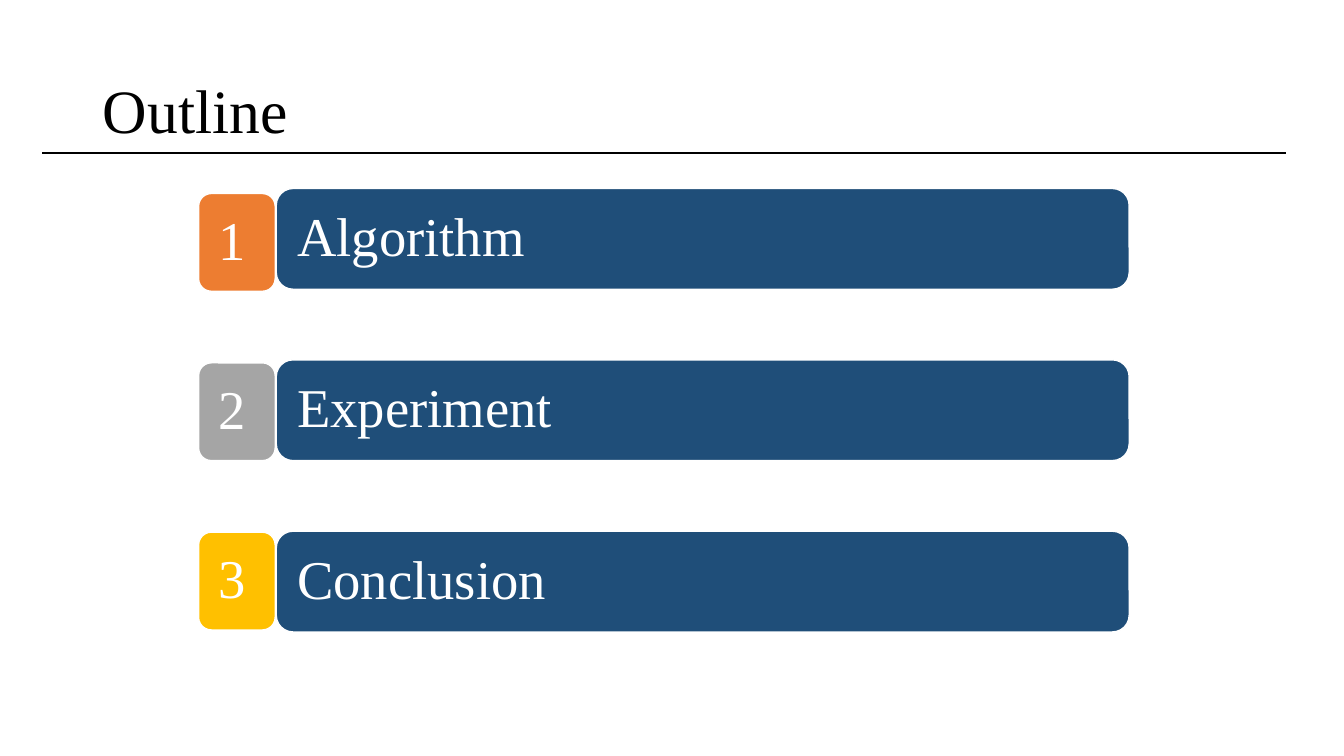
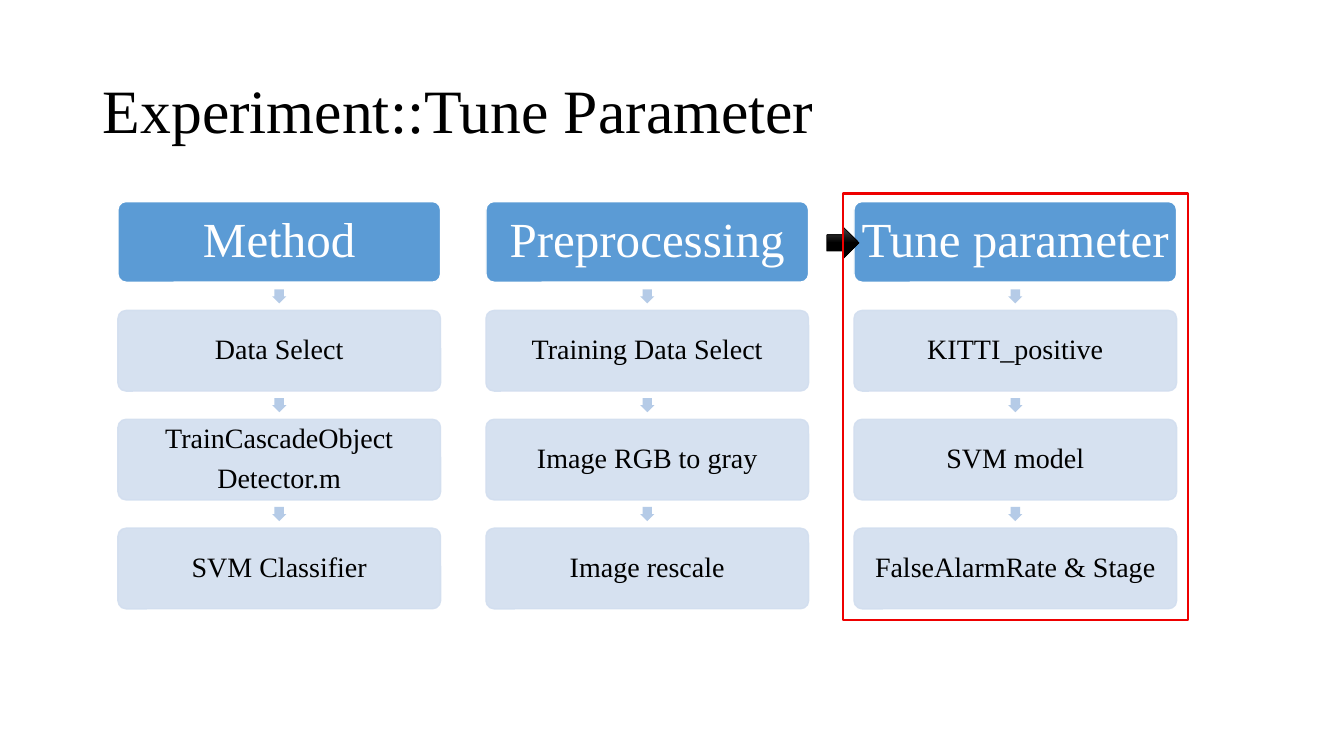
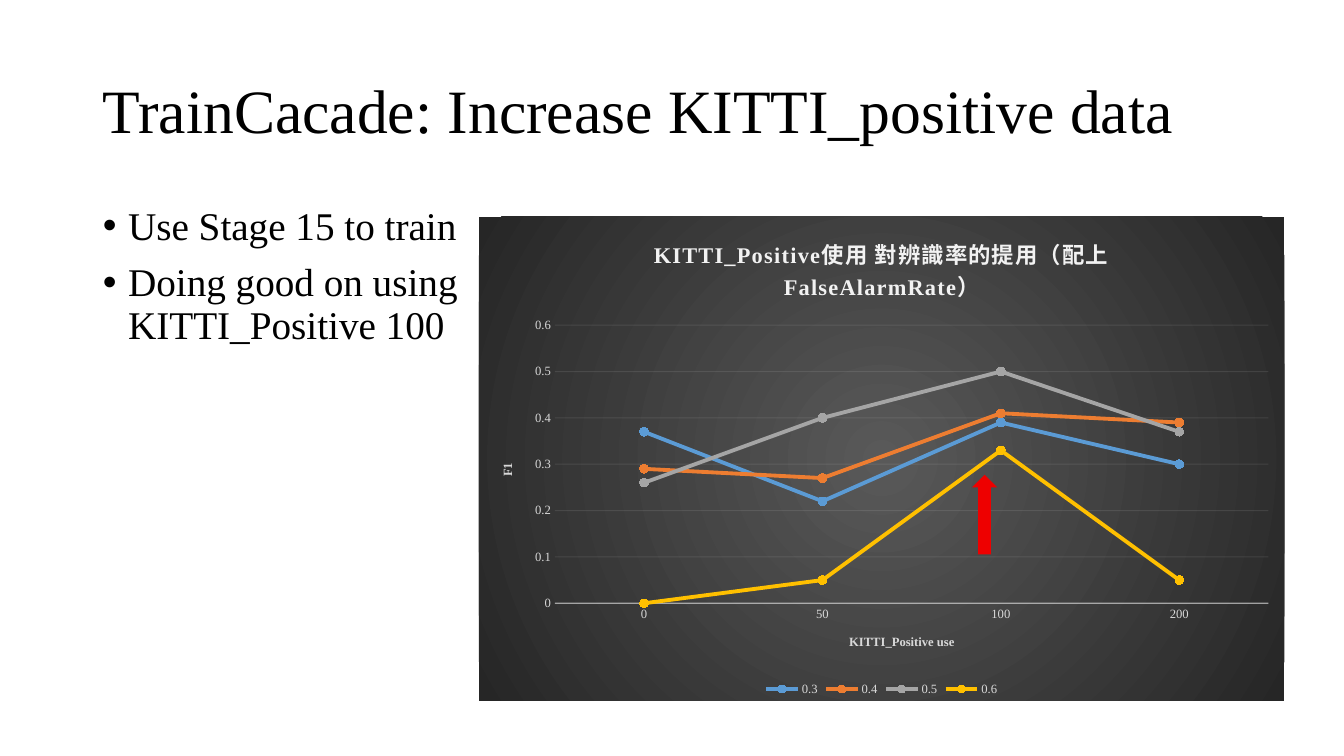
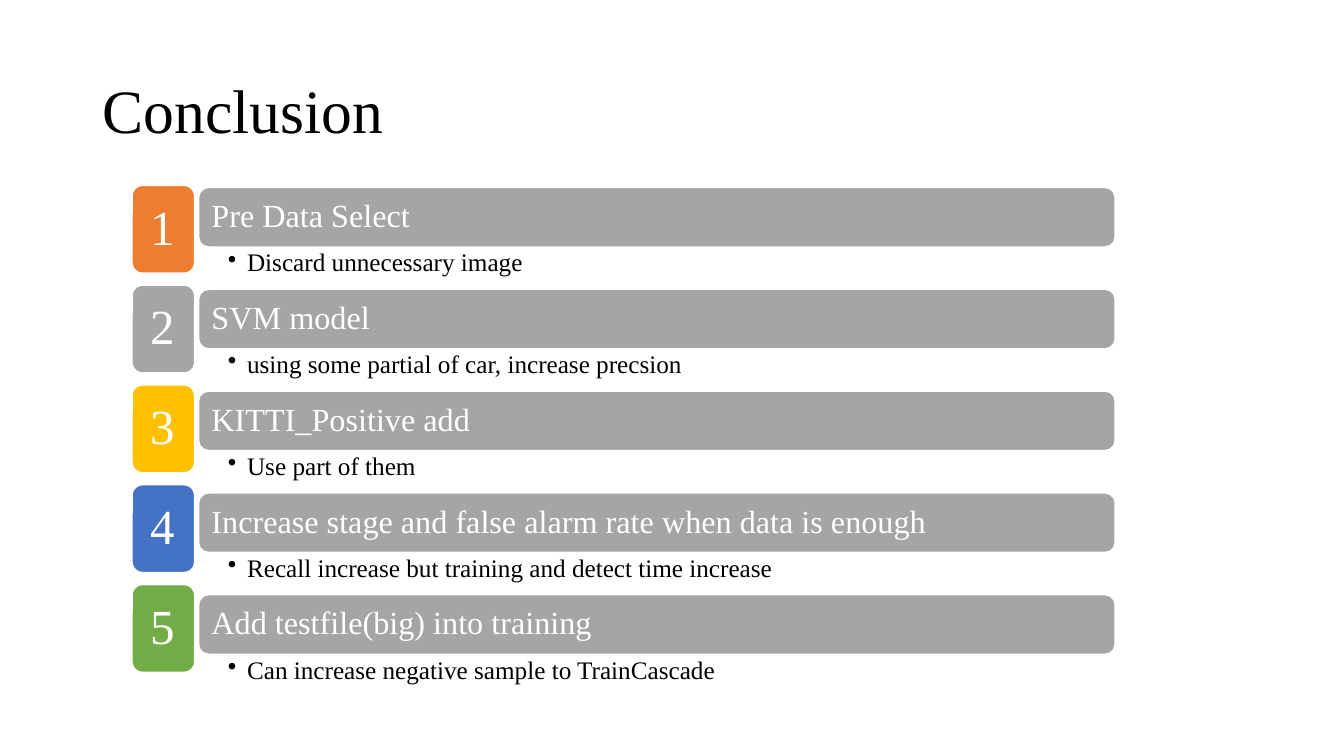
"""Build a four-slide deck on training and tuning a cascade detector."""
import lxml.etree
import pptx
import pptx.chart.data
import pptx.dml.color
import pptx.enum.chart
import pptx.enum.shapes
import pptx.enum.text
import pptx.oxml
import pptx.oxml.ns
import pptx.util

Inches = pptx.util.Inches
Pt = pptx.util.Pt
RGB = pptx.dml.color.RGBColor.from_string
SHAPE = pptx.enum.shapes.MSO_SHAPE
ALIGN = pptx.enum.text.PP_ALIGN
ANCHOR = pptx.enum.text.MSO_ANCHOR
qn = pptx.oxml.ns.qn

FONT = "Times New Roman"
HUES = {
    "black": "000000", "white": "FFFFFF", "navy": "1F4E79", "blue": "5B9BD5",
    "orange": "ED7D31", "gray": "A5A5A5", "gold": "FFC000", "royal": "4472C4",
    "green": "70AD47", "pale": "D2DEEF", "sky": "B5CBE7", "red": "EE0000",
    "coal": "4B4B4B", "mist": "F2F2F2", "silver": "D9D9D9",
    "inner": "595959", "outer": "262626",
}
TILES = ["orange", "gray", "gold", "royal", "green"]


def put(frame, lines, size, hue="black", align=ALIGN.LEFT, anchor=ANCHOR.MIDDLE,
        inset=(0.1, 0.05), gap=0, dent=0):
    """Fill a text frame, one paragraph per line, with bullets if dent is set."""
    frame.word_wrap = True
    frame.auto_size = pptx.enum.text.MSO_AUTO_SIZE.NONE
    frame.vertical_anchor = anchor
    frame.margin_left = frame.margin_right = Inches(inset[0])
    frame.margin_top = frame.margin_bottom = Inches(inset[1])
    for row, line in enumerate(lines):
        para = frame.add_paragraph() if row else frame.paragraphs[0]
        para.alignment = align
        para.line_spacing = 0.9
        para.space_before = Pt(gap)
        para.space_after = Pt(0)
        run = para.add_run()
        run.text = line
        run.font.name = FONT
        run.font.size = Pt(size)
        run.font.color.rgb = RGB(HUES[hue])
        if dent:
            props = para._p.get_or_add_pPr()
            props.set("marL", str(Inches(dent)))
            props.set("indent", str(-Inches(dent)))
            lxml.etree.SubElement(props, qn("a:buChar")).set("char", "•")


def box(slide, kind, place, fill=None, edge=None, width=1, bends=()):
    """Add a flat preset shape; place is left, top, width, height."""
    shape = slide.shapes.add_shape(kind, *map(Inches, place))
    shape.shadow.inherit = False
    for spot, bend in enumerate(bends):
        shape.adjustments[spot] = bend
    if fill:
        shape.fill.solid()
        shape.fill.fore_color.rgb = RGB(HUES[fill])
    else:
        shape.fill.background()
    if edge:
        shape.line.color.rgb = RGB(HUES[edge])
        shape.line.width = Pt(width)
    else:
        shape.line.fill.background()
    return shape


deck = pptx.Presentation()
deck.slide_width = Inches(13.33)
deck.slide_height = Inches(7.5)
fades = []

slides = []
for name, style in [("Outline", 5), ("Experiment::Tune Parameter", 5),
                    ("TrainCacade: Increase KITTI_positive data", 1), ("Conclusion", 5)]:
    slide = deck.slides.add_slide(deck.slide_layouts[style])
    title = slide.shapes.title
    title.left, title.top, title.width, title.height = map(Inches, (0.92, 0.4, 11.5, 1.45))
    put(title.text_frame, [name], 44)
    slides.append(slide)
outline, tuning, data, ending = slides

rule = outline.shapes.add_connector(pptx.enum.shapes.MSO_CONNECTOR.STRAIGHT,
                                    *map(Inches, (0.42, 1.52, 12.75, 1.52)))
rule.line.color.rgb = RGB(HUES["black"])
rule.line.width = Pt(1)
lxml.etree.SubElement(rule._element.spPr, qn("a:effectLst"))
for row, topic in enumerate(["Algorithm", "Experiment", "Conclusion"]):
    bar = box(outline, SHAPE.ROUNDED_RECTANGLE, (2.74, 1.87 + 1.7 * row, 8.46, 1),
              "navy", "white")
    put(bar.text_frame, [topic], 39, "white", inset=(0.16, 0.16))
    tile = box(outline, SHAPE.ROUNDED_RECTANGLE, (1.97, 1.92 + 1.68 * row, 0.76, 0.97),
               TILES[row], "white")
    put(tile.text_frame, [str(row + 1)], 39, "white", inset=(0.16, 0.16))

steps = [
    ("Method", "Data Select", "TrainCascadeObject\nDetector.m", "SVM Classifier"),
    ("Preprocessing", "Training Data Select", "Image RGB to gray", "Image rescale"),
    ("Tune parameter", "KITTI_positive", "SVM model", "FalseAlarmRate & Stage"),
]
for col, track in enumerate(steps):
    left = 1.17 + 3.65 * col
    for row, step in enumerate(track):
        top = 2 + 1.08 * row
        fill, edge, size, ink = (("pale", "pale", 20, "black") if row
                                 else ("blue", "white", 35, "white"))
        card = box(tuning, SHAPE.ROUNDED_RECTANGLE, (left, top, 3.2, 0.8),
                   fill, edge, bends=[0.1])
        put(card.text_frame, step.split("\n"), size, ink, ALIGN.CENTER,
            inset=(0.03, 0.03), gap=7)
        if row:
            fades.append((card._element.spPr, 90))
            box(tuning, SHAPE.DOWN_ARROW, (left + 1.53, top - 0.21, 0.14, 0.14),
                "sky", bends=[0.67, 0.5])

arrow = box(tuning, SHAPE.RIGHT_ARROW, (8.2, 2.25, 0.32, 0.32), "black", "black", 0.5)
arrow.fill.gradient()
arrow.fill.gradient_angle = 270
for stop, hue, spot in zip(arrow.fill.gradient_stops, ["coal", "black"], [0, 0.5]):
    stop.color.rgb = RGB(HUES[hue])
    stop.position = spot
box(tuning, SHAPE.RECTANGLE, (8.36, 1.92, 3.42, 4.23), edge="red", width=1.5)

body = data.placeholders[1]
body.left, body.top, body.width, body.height = map(Inches, (0.92, 2, 3.83, 4.76))
put(body.text_frame, ["Use Stage 15 to train", "Doing good on using KITTI_Positive 100"],
    28, anchor=ANCHOR.TOP, gap=10, dent=0.25)

scores = pptx.chart.data.CategoryChartData()
scores.categories = ["0", "50", "100", "200"]
scores.add_series("0.3", (0.37, 0.22, 0.39, 0.3))
scores.add_series("0.4", (0.29, 0.27, 0.41, 0.39))
scores.add_series("0.5", (0.26, 0.4, 0.5, 0.37))
scores.add_series("0.6", (0, 0.05, 0.33, 0.05))
chart = data.shapes.add_chart(pptx.enum.chart.XL_CHART_TYPE.LINE_MARKERS,
                              *map(Inches, (4.75, 2.15, 7.99, 4.8)), scores).chart
chart.font.name = FONT
chart.font.size = Pt(9)
chart.font.color.rgb = RGB(HUES["silver"])
chart.has_legend = True
chart.legend.position = pptx.enum.chart.XL_LEGEND_POSITION.BOTTOM
chart.legend.include_in_layout = False
chart.plots[0].vary_by_categories = False
chart.has_title = True

across, up = chart.category_axis, chart.value_axis
for owner, label, size, hue in [
        (chart.chart_title, "KITTI_Positive使用 對辨識率的提用（配上FalseAlarmRate）", 16, "mist"),
        (across.axis_title, "KITTI_Positive use", 9, "silver"),
        (up.axis_title, "F1", 9, "silver")]:
    run = owner.text_frame.paragraphs[0].add_run()
    run.text = label
    run.font.name = FONT
    run.font.size = Pt(size)
    run.font.bold = True
    run.font.color.rgb = RGB(HUES[hue])
    if owner is not across.axis_title and size == 16:
        run.font._element.set("spc", "100")
for axis in (across, up):
    axis.major_tick_mark = pptx.enum.chart.XL_TICK_MARK.NONE
up.minimum_scale, up.maximum_scale, up.major_unit = 0, 0.6, 0.1
up.tick_labels.number_format = "General"
up.tick_labels.number_format_is_linked = False
up.format.line.fill.background()
for part, width, solid in [(across, 1, 54), (up.major_gridlines, 0.75, 10)]:
    line = part.format.line
    line.color.rgb = RGB(HUES["mist"])
    line.width = Pt(width)
    fades.append((part.format._element.spPr, solid))

for trend, hue in zip(chart.plots[0].series, ["blue", "orange", "gray", "gold"]):
    trend.smooth = False
    trend.format.line.color.rgb = RGB(HUES[hue])
    trend.format.line.width = Pt(2.75)
    trend.marker.style = pptx.enum.chart.XL_MARKER_STYLE.CIRCLE
    trend.marker.size = 6
    trend.marker.format.fill.solid()
    trend.marker.format.fill.fore_color.rgb = RGB(HUES[hue])
    trend.marker.format.line.fill.background()

glow = pptx.oxml.parse_xml(
    f'<c:spPr {pptx.oxml.ns.nsdecls("c", "a")}><a:gradFill><a:gsLst>'
    f'<a:gs pos="0"><a:srgbClr val="{HUES["inner"]}"/></a:gs>'
    f'<a:gs pos="100000"><a:srgbClr val="{HUES["outer"]}"/></a:gs></a:gsLst>'
    '<a:path path="circle"><a:fillToRect l="50000" t="50000" r="50000" b="50000"/></a:path>'
    '</a:gradFill><a:ln><a:noFill/></a:ln></c:spPr>')
chart.element.find(qn("c:chart")).addnext(glow)
box(data, SHAPE.UP_ARROW, (9.64, 4.71, 0.25, 0.79), "red")

points = [
    ("Pre Data Select", "Discard unnecessary image"),
    ("SVM model", "using some partial of car, increase precsion"),
    ("KITTI_Positive add", "Use part of them"),
    ("Increase stage and false alarm rate when data is enough",
     "Recall increase but training and detect time increase"),
    ("Add testfile(big) into training", "Can increase negative sample to TrainCascade"),
]
for row, (point, detail) in enumerate(points):
    top = 1.86 + 1.01 * row
    bar = box(ending, SHAPE.ROUNDED_RECTANGLE, (1.97, top, 9.09, 0.59), "gray", "white")
    put(bar.text_frame, [point], 23, "white", inset=(0.1, 0.1))
    note = ending.shapes.add_textbox(*map(Inches, (1.97, top + 0.59, 9.09, 0.42)))
    put(note.text_frame, [detail], 18, anchor=ANCHOR.TOP, inset=(0.29, 0.03), dent=0.19)
    tile = box(ending, SHAPE.ROUNDED_RECTANGLE, (1.31, 1.84 + 0.99 * row, 0.62, 0.87),
               TILES[row], "white")
    put(tile.text_frame, [str(row + 1)], 35, "white", inset=(0.15, 0.15))

for node, solid in fades:
    for tint in node.iter(qn("a:srgbClr")):
        lxml.etree.SubElement(tint, qn("a:alpha")).set("val", str(solid * 1000))

deck.save("out.pptx")
